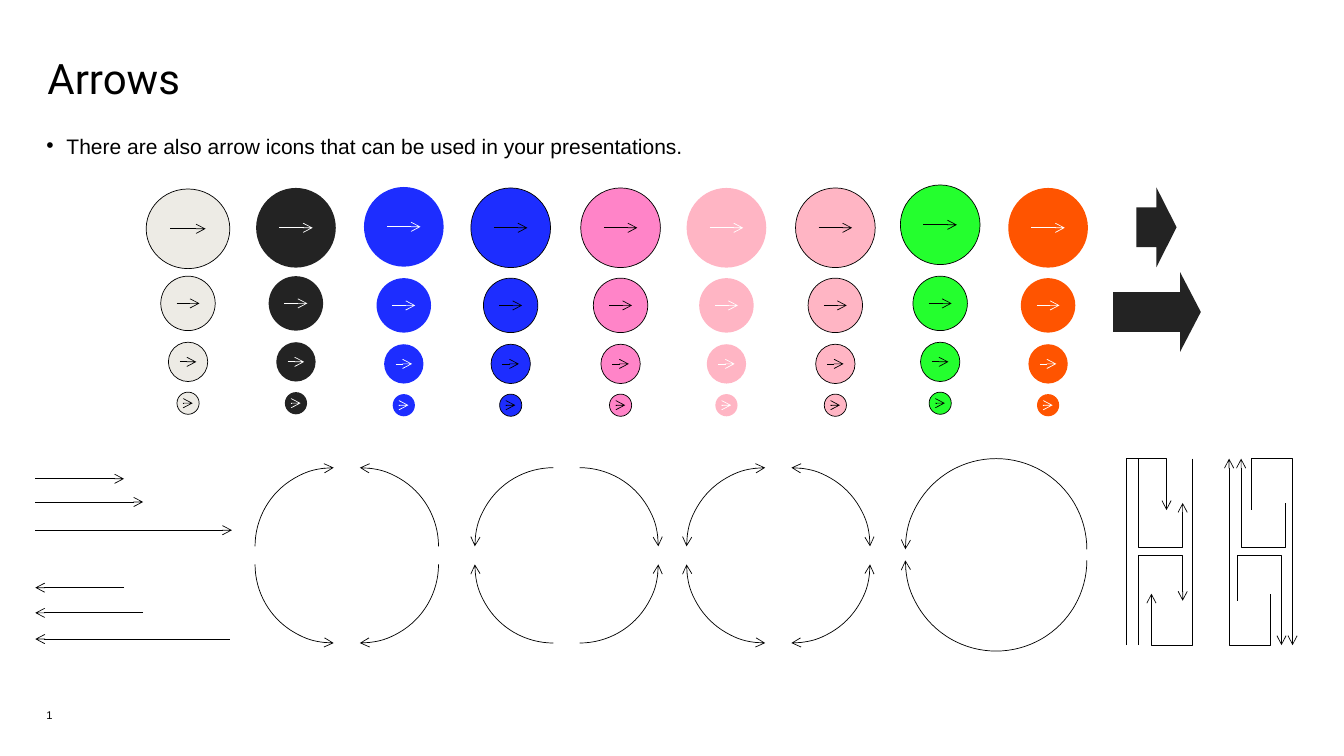
"""Build the Arrows slide: arrow buttons, lines, rings, block arrows and hooks."""
from dataclasses import dataclass
from itertools import product
from typing import Any, NamedTuple

from lxml.etree import SubElement
from pptx import Presentation
from pptx.dml.color import RGBColor
from pptx.enum.shapes import MSO_CONNECTOR, MSO_SHAPE
from pptx.enum.text import MSO_ANCHOR, PP_ALIGN
from pptx.oxml.ns import qn
from pptx.util import Inches, Pt


@dataclass(frozen=True)
class Theme:
    black: str = "000000"
    white: str = "FFFFFF"
    charcoal: str = "232323"
    stone: str = "EDEBE5"
    blue: str = "1D2DFF"
    pink: str = "FF84C8"
    blush: str = "FFB5C4"
    green: str = "24FF2E"
    orange: str = "FF5400"
    title_font: str = "Roboto"
    body_font: str = "Arial"
    title_size: float = 30
    body_size: float = 15
    number_size: float = 8
    line_width: float = 0.5


THEME = Theme()


class ButtonRow(NamedTuple):
    center_y: float
    diameter: float


class ButtonColumn(NamedTuple):
    left: float
    fill: str
    outlined: bool
    lead_shift: float = 0
    shift: float = 0
    lead_width: float = 0.79


class Ring(NamedTuple):
    left: float
    head: bool
    tail: bool


class Arc(NamedTuple):
    left: float
    top: float
    size: float
    flip_h: bool
    flip_v: bool
    head: bool
    tail: bool
    start: float = 162


class StraightArrow(NamedTuple):
    start_x: float
    end_x: float
    y: float


class BlockArrow(NamedTuple):
    left: float
    top: float
    width: float
    head_ratio: float


class Hook(NamedTuple):
    start_x: float
    start_y: float
    turn_y: float
    end_x: float
    end_y: float
    tip_at_start: bool


BUTTON_HEIGHT = 0.79
BUTTON_ROWS = [ButtonRow(2.26, BUTTON_HEIGHT), ButtonRow(3.03, 0.54),
               ButtonRow(3.61, 0.39), ButtonRow(4.02, 0.22)]
BUTTON_COLUMNS = [
    ButtonColumn(1.47, THEME.stone, True, 0.01, -0.02, 0.83),
    ButtonColumn(2.54, THEME.charcoal, False, 0, -0.02),
    ButtonColumn(3.61, THEME.blue, False, -0.01),
    ButtonColumn(4.67, THEME.blue, True),
    ButtonColumn(5.76, THEME.pink, True),
    ButtonColumn(6.81, THEME.blush, False),
    ButtonColumn(7.89, THEME.blush, True),
    ButtonColumn(8.93, THEME.green, True, -0.03, -0.02),
    ButtonColumn(10, THEME.orange, False),
]
STRAIGHT_ARROWS = [
    StraightArrow(0.35, 1.23, 4.75), StraightArrow(0.35, 1.42, 4.98),
    StraightArrow(0.35, 2.3, 5.26), StraightArrow(1.23, 0.35, 5.83),
    StraightArrow(1.42, 0.35, 6.08), StraightArrow(2.28, 0.35, 6.34),
]
RINGS = [Ring(2.53, True, False), Ring(4.71, False, True), Ring(6.81, True, True)]
HALF_RINGS = [Arc(8.98, 4.55, 1.8, False, False, True, False, 108.01),
              Arc(8.98, 4.66, 1.8, False, True, True, False, 108.01)]
BLOCK_ARROWS = [BlockArrow(11.27, 1.86, 0.4, 0.5), BlockArrow(11.04, 2.7, 0.87, 0.26)]
TOP, BOTTOM = 4.55, 6.4
HOOKS = [
    Hook(11.17, BOTTOM, TOP, 11.57, 5.06, False),
    Hook(12.82, BOTTOM, TOP, 12.41, 5.06, True),
    Hook(11.83, TOP, BOTTOM, 11.42, 5.89, False),
    Hook(12.19, TOP, BOTTOM, 12.6, 5.89, True),
    Hook(12.31, TOP, 5.43, 12.75, 4.99, True),
    Hook(12.71, BOTTOM, 5.51, 12.27, 5.96, True),
    Hook(11.29, TOP, 5.43, 11.73, 4.99, False),
    Hook(11.29, BOTTOM, 5.51, 11.73, 5.96, False),
]


def style_line(line: Any, color: str, head: bool = False, tail: bool = False) -> None:
    line.color.rgb = RGBColor.from_string(color)
    line.width = Pt(THEME.line_width)
    for tag, wanted in (("a:headEnd", head), ("a:tailEnd", tail)):
        if wanted:
            SubElement(line._get_or_add_ln(), qn(tag), type="arrow")


def style_text(frame: Any, text: str, font: str, size: float,
               anchor: MSO_ANCHOR = MSO_ANCHOR.TOP) -> None:
    frame.text = text
    frame.word_wrap = True
    frame.vertical_anchor = anchor
    frame.margin_left = frame.margin_right = frame.margin_top = frame.margin_bottom = 0
    paragraph = frame.paragraphs[0]
    paragraph.alignment = PP_ALIGN.LEFT
    run_font = paragraph.runs[0].font
    run_font.name, run_font.size = font, Pt(size)
    run_font.color.rgb = RGBColor.from_string(THEME.black)


def add_straight_arrow(shapes: Any, arrow: StraightArrow, color: str) -> None:
    y = Inches(arrow.y)
    connector = shapes.add_connector(
        MSO_CONNECTOR.STRAIGHT, Inches(arrow.start_x), y, Inches(arrow.end_x), y)
    style_line(connector.line, color, tail=True)
    SubElement(connector._element.spPr, qn("a:effectLst"))


def add_filled(shapes: Any, preset: MSO_SHAPE, left: float, top: float,
               width: float, height: float, fill: str) -> Any:
    shape = shapes.add_shape(preset, Inches(left), Inches(top), Inches(width), Inches(height))
    shape.shadow.inherit = False
    shape.fill.solid()
    shape.fill.fore_color.rgb = RGBColor.from_string(fill)
    shape.line.fill.background()
    return shape


def add_button(shapes: Any, column: ButtonColumn, row: ButtonRow) -> None:
    lead = row is BUTTON_ROWS[0]
    width = column.lead_width if lead else row.diameter
    center_x = column.left + BUTTON_HEIGHT / 2
    center_y = row.center_y + (column.lead_shift if lead else column.shift)
    button = shapes.add_group_shape().shapes
    disc = add_filled(button, MSO_SHAPE.OVAL, center_x - width / 2,
                      center_y - row.diameter / 2, width, row.diameter, column.fill)
    if column.outlined:
        style_line(disc.line, THEME.black)
    reach = 0.21 * width
    add_straight_arrow(button, StraightArrow(center_x - reach, center_x + reach, center_y),
                       THEME.black if column.outlined else THEME.white)


def add_arc(shapes: Any, arc: Arc) -> None:
    shape = shapes.add_shape(MSO_SHAPE.ARC, Inches(arc.left), Inches(arc.top),
                             Inches(arc.size), Inches(arc.size))
    shape.shadow.inherit = False
    shape.fill.background()
    shape.adjustments[0] = arc.start
    style_line(shape.line, THEME.black, arc.head, arc.tail)
    for name, flipped in (("flipH", arc.flip_h), ("flipV", arc.flip_v)):
        if flipped:
            shape._element.spPr.xfrm.set(name, "1")


def add_ring(shapes: Any, ring: Ring) -> None:
    quarters = shapes.add_group_shape().shapes
    for flip_v, flip_h in product((False, True), repeat=2):
        add_arc(quarters, Arc(ring.left + (0 if flip_h else 0.26), 4.82 if flip_v else 4.64,
                              1.56, flip_h, flip_v, ring.head, ring.tail))


def add_hook(shapes: Any, hook: Hook) -> None:
    builder = shapes.build_freeform(Inches(hook.start_x), Inches(hook.start_y))
    corners = [(hook.start_x, hook.turn_y), (hook.end_x, hook.turn_y), (hook.end_x, hook.end_y)]
    builder.add_line_segments([(Inches(x), Inches(y)) for x, y in corners], close=False)
    shape = builder.convert_to_shape()
    shape.shadow.inherit = False
    shape.fill.background()
    style_line(shape.line, THEME.black, hook.tip_at_start, not hook.tip_at_start)


def add_texts(shapes: Any) -> None:
    title = shapes.title
    title.left, title.top, title.width, title.height = map(Inches, (0.47, 0.56, 12.4, 0.48))
    style_text(title.text_frame, "Arrows", THEME.title_font, THEME.title_size, MSO_ANCHOR.MIDDLE)
    title.text_frame.paragraphs[0].line_spacing = 0.9
    number = shapes.add_textbox(*map(Inches, (0.46, 7.03, 0.71, 0.2)))
    style_text(number.text_frame, "1", THEME.body_font, THEME.number_size)
    intro = shapes.add_textbox(*map(Inches, (0.46, 1.32, 8.76, 0.48))).text_frame
    style_text(intro, "There are also arrow icons that can be used in your presentations.",
               THEME.body_font, THEME.body_size)
    intro.paragraphs[0].space_after = Pt(10)
    properties = intro.paragraphs[0]._p.get_or_add_pPr()
    properties.set("marL", str(Inches(0.2)))
    properties.set("indent", str(Inches(-0.2)))
    SubElement(properties, qn("a:buFont"), typeface=THEME.body_font)
    SubElement(properties, qn("a:buChar"), char="•")


def main() -> None:
    presentation = Presentation()
    presentation.slide_width, presentation.slide_height = Inches(13.33), Inches(7.5)
    shapes = presentation.slides.add_slide(presentation.slide_layouts[5]).shapes
    add_texts(shapes)
    for column, row in product(BUTTON_COLUMNS, BUTTON_ROWS):
        add_button(shapes, column, row)
    for arrow in STRAIGHT_ARROWS:
        add_straight_arrow(shapes, arrow, THEME.black)
    for ring in RINGS:
        add_ring(shapes, ring)
    half_rings = shapes.add_group_shape().shapes
    for arc in HALF_RINGS:
        add_arc(half_rings, arc)
    for block in BLOCK_ARROWS:
        shape = add_filled(shapes, MSO_SHAPE.RIGHT_ARROW, block.left, block.top,
                           block.width, BUTTON_HEIGHT, THEME.charcoal)
        shape.adjustments[1] = block.head_ratio
    hooks = shapes.add_group_shape().shapes
    for hook in HOOKS:
        add_hook(hooks, hook)
    presentation.save("out.pptx")


if __name__ == "__main__":
    main()
